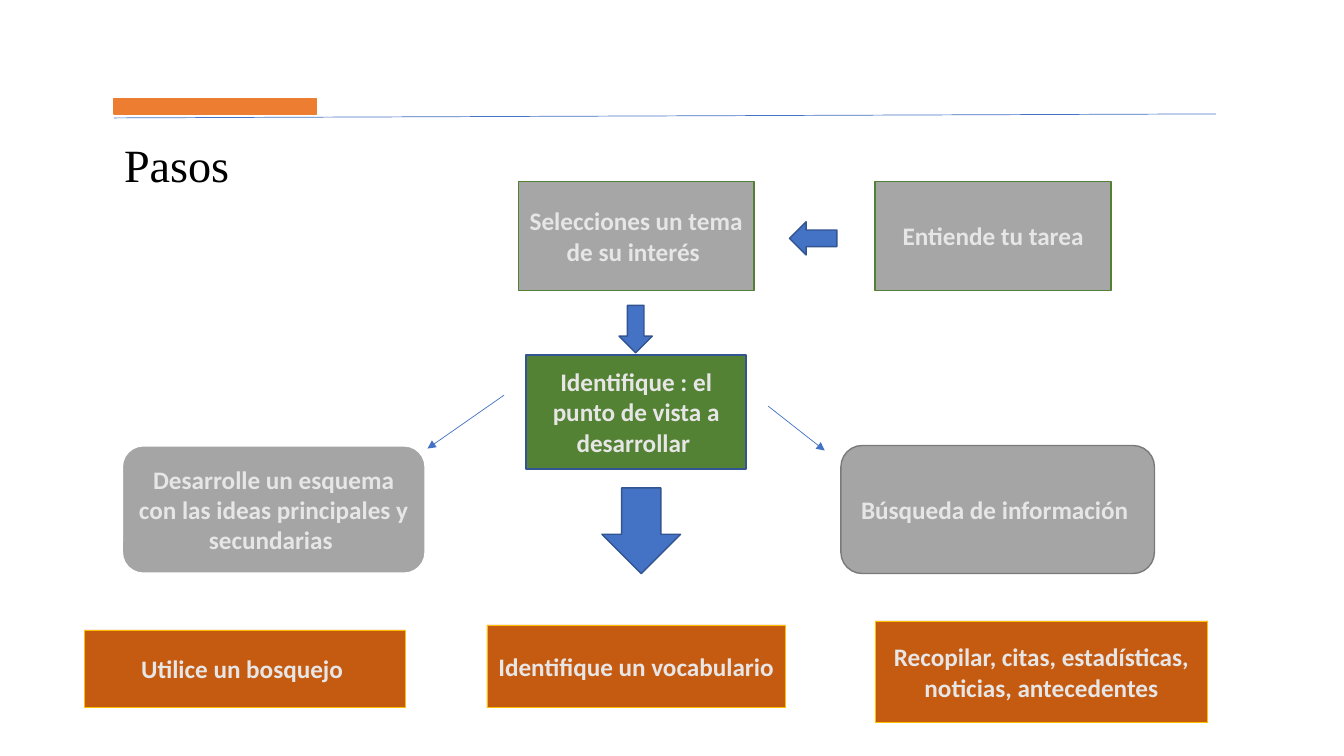
"""Build the "Pasos" slide: a flow of steps for preparing a written argument."""
from dataclasses import dataclass

from lxml import etree
from pptx import Presentation
from pptx.dml.color import RGBColor
from pptx.enum.shapes import MSO_CONNECTOR, MSO_SHAPE
from pptx.enum.text import MSO_ANCHOR, PP_ALIGN
from pptx.oxml.ns import qn
from pptx.util import Inches, Pt

RECTANGLE = MSO_SHAPE.RECTANGLE
ROUNDED = MSO_SHAPE.ROUNDED_RECTANGLE
DOWN_ARROW = MSO_SHAPE.DOWN_ARROW
STRAIGHT = MSO_CONNECTOR.STRAIGHT
LEFT, CENTER = PP_ALIGN.LEFT, PP_ALIGN.CENTER
MIDDLE, BOTTOM = MSO_ANCHOR.MIDDLE, MSO_ANCHOR.BOTTOM


@dataclass(frozen=True)
class Theme:
    body_font: str = "Calibri"
    title_font: str = "Times New Roman"
    body_size: float = 18
    title_size: float = 33
    title_color: str = "000000"
    light_text: str = "E7E6E6"
    gray: str = "A6A6A6"
    rounded_gray: str = "A5A5A5"
    dark_gray: str = "7A7A7A"
    white: str = "FFFFFF"
    green: str = "548235"
    green_line: str = "538035"
    blue: str = "4472C4"
    blue_line: str = "325491"
    rust: str = "C55A11"
    gold: str = "FFC000"
    orange: str = "ED7D31"


theme = Theme()


def write_text(shape, text, font=theme.body_font, size=theme.body_size,
               color=theme.light_text, bold=True, align=CENTER,
               anchor=MIDDLE, spacing=1.0):
    frame = shape.text_frame
    frame.word_wrap = True
    frame.vertical_anchor = anchor
    paragraph = frame.paragraphs[0]
    paragraph.alignment = align
    paragraph.line_spacing = spacing
    run = paragraph.add_run()
    run.text = text
    run.font.name = font
    run.font.size = Pt(size)
    run.font.bold = bold
    run.font.color.rgb = RGBColor.from_string(color)


def add_block(kind, box, fill, line, width=1.0):
    shape = slide.shapes.add_shape(kind, *map(Inches, box))
    shape.shadow.inherit = False
    shape.fill.solid()
    shape.fill.fore_color.rgb = RGBColor.from_string(fill)
    shape.line.color.rgb = RGBColor.from_string(line)
    shape.line.width = Pt(width)
    return shape


presentation = Presentation()
presentation.slide_width = Inches(13.33)
presentation.slide_height = Inches(7.5)
slide = presentation.slides.add_slide(presentation.slide_layouts[5])

title = slide.shapes.title
title.left, title.top = Inches(1.13), Inches(1.4)
title.width, title.height = Inches(2.6), Inches(0.54)
write_text(title, "Pasos", font=theme.title_font, size=theme.title_size,
           color=theme.title_color, bold=False, align=LEFT, anchor=BOTTOM,
           spacing=0.7)
title.text_frame.auto_size = None

add_block(RECTANGLE, (1.13, 0.98, 2.01, 0.15), theme.orange, theme.orange)

gray_style = (theme.gray, theme.green_line, 1)
rust_style = (theme.rust, theme.gold, 0.5)
steps = [
    ("Entiende tu tarea", RECTANGLE, (8.68, 1.8, 2.34, 1.08), gray_style),
    ("Selecciones un tema de su interés ", RECTANGLE,
     (5.14, 1.8, 2.34, 1.08), gray_style),
    ("Identifique : el punto de vista a desarrollar ", RECTANGLE,
     (5.22, 3.52, 2.18, 1.13), (theme.green, theme.blue_line, 1.5)),
    ("Desarrolle un esquema con las ideas principales y secundarias ", ROUNDED,
     (1.21, 4.42, 3.01, 1.27), (theme.rounded_gray, theme.white, 1.5)),
    ("Búsqueda de información ", ROUNDED,
     (8.34, 4.42, 3.11, 1.27), (theme.rounded_gray, theme.dark_gray, 1)),
    ("Utilice un bosquejo ", RECTANGLE, (0.84, 6.25, 3.18, 0.77), rust_style),
    ("Identifique un vocabulario", RECTANGLE,
     (4.83, 6.2, 2.96, 0.82), rust_style),
    ("Recopilar, citas, estadísticas, noticias, antecedentes", RECTANGLE,
     (8.68, 6.16, 3.3, 1.01), rust_style),
]
for text, kind, box, style in steps:
    write_text(add_block(kind, box, *style), text)

block_arrows = [
    ((7.9, 2.13, 0.33, 0.47), 90),
    ((6.14, 3.03, 0.33, 0.47), 0),
    ((5.97, 4.84, 0.78, 0.85), 0),
]
for box, rotation in block_arrows:
    arrow = add_block(DOWN_ARROW, box, theme.blue, theme.blue_line)
    arrow.rotation = rotation

thin_lines = [
    ((1.13, 1.17, 12.06, 1.13), False),
    ((5, 3.92, 4.24, 4.45), True),
    ((7.62, 4.03, 8.18, 4.47), True),
]
for ends, has_arrowhead in thin_lines:
    connector = slide.shapes.add_connector(STRAIGHT, *map(Inches, ends))
    connector.line.color.rgb = RGBColor.from_string(theme.blue)
    connector.line.width = Pt(0.5)
    properties = connector._element.spPr
    if has_arrowhead:
        line_element = properties.find(qn("a:ln"))
        etree.SubElement(line_element, qn("a:tailEnd"), type="triangle")
    etree.SubElement(properties, qn("a:effectLst"))

presentation.save("out.pptx")
